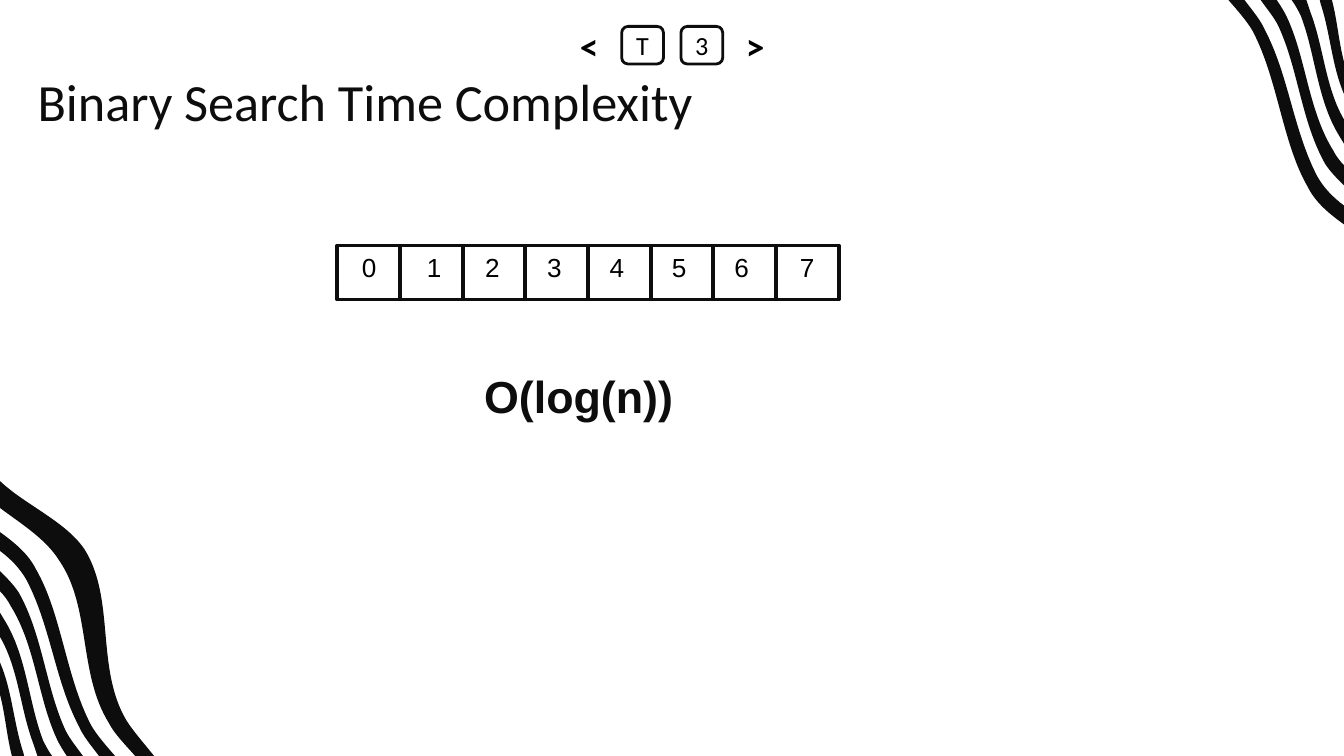
"""Build the slide on the time complexity of binary search."""
from lxml.etree import SubElement
from pptx import Presentation
from pptx.dml.color import RGBColor
from pptx.enum.shapes import MSO_SHAPE
from pptx.enum.text import MSO_ANCHOR, MSO_AUTO_SIZE, PP_ALIGN
from pptx.oxml.ns import qn
from pptx.util import Cm, Pt

INK, BLACK, WHITE = "0D0D0D", "000000", "FFFFFF"
TITLE = "Binary Search Time Complexity"
FORMULA = "O(log(n))"
BUTTONS = [("<", 10.74, 20, False), ("T", 11.75, 14, True),
           ("3", 12.87, 14, True), (">", 13.88, 20, False)]

CELL_LEFT, CELL_TOP, CELL_WIDTH, CELL_HEIGHT = 6.37, 4.64, 1.19, 1.02
CELL_PITCH = (14.66 - CELL_LEFT) / 7
LABELS = [("0", 6.59, 0.79), ("1", 7.82, 0.84), ("2", 8.92, 0.84), ("3", 10.09, 0.84),
          ("4", 11.27, 0.84), ("5", 12.45, 0.84), ("6", 13.63, 0.84), ("7", 14.87, 0.79)]

PAGE_WIDTH, PAGE_HEIGHT = 1000, 563
UNIT = Cm(2.54) / 100
STRIPES = [
    ([(0, 378), (16, 390), (34, 401), (44, 417), (68, 452), (58, 501), (81, 538),
      (85, 546), (93, 554), (101, 563)],
     [(115, 563), (107, 553), (99, 544), (94, 536), (71, 497), (86, 446), (63, 409),
      (49, 388), (19, 376), (0, 358)]),
    ([(0, 410), (8, 416), (15, 423), (20, 432), (38, 467), (41, 507), (59, 541),
      (62, 548), (68, 555), (74, 563)],
     [(86, 563), (79, 555), (72, 547), (68, 540), (49, 504), (46, 457), (27, 424),
      (21, 412), (11, 404), (0, 396)]),
    ([(0, 440), (3, 443), (6, 447), (8, 451), (26, 480), (28, 517), (41, 547),
      (43, 552), (46, 557), (50, 563)],
     [(62, 563), (57, 556), (52, 550), (49, 544), (34, 512), (32, 473), (14, 441),
      (10, 435), (5, 430), (0, 425)]),
    ([(0, 474), (14, 498), (15, 528), (25, 554), (26, 557), (27, 560), (28, 563)],
     [(39, 563), (36, 559), (34, 555), (32, 551), (21, 522), (20, 488), (3, 461),
      (2, 459), (1, 458), (0, 456)]),
    ([(0, 517), (4, 532), (5, 548), (9, 563)],
     [(18, 563), (18, 561), (17, 560), (17, 559), (10, 537), (9, 514), (0, 493)]),
]


def colour(code):
    return RGBColor.from_string(code)


def bend(lines):
    """Turn each three straight segments into one cubic curve."""
    for start in range(0, len(lines), 3):
        curve = SubElement(lines[start].getparent(), qn("a:cubicBezTo"))
        lines[start].addprevious(curve)
        for line in lines[start:start + 3]:
            curve.append(line[0])
            line.getparent().remove(line)


def add_stripe(page, edges, turned=False):
    """Draw one wavy stripe, at bottom left or turned to the top right."""
    outline = edges[0] + edges[1]
    if turned:
        outline = [(PAGE_WIDTH - x, PAGE_HEIGHT - y) for x, y in outline]
    builder = page.shapes.build_freeform(*outline[0], scale=UNIT)
    builder.add_line_segments(outline[1:], close=True)
    stripe = builder.convert_to_shape()
    lines = list(stripe.element.iter(qn("a:lnTo")))
    joint = len(edges[0]) - 1
    bend(lines[:joint])
    bend(lines[joint + 1:len(outline) - 1])
    stripe.shadow.inherit = False
    stripe.fill.solid()
    stripe.fill.fore_color.rgb = colour(INK)
    stripe.line.fill.background()


def add_box(page, kind, left, top, width, height, fill=None, line_width=None):
    """Draw a preset shape."""
    box = page.shapes.add_shape(kind, Cm(left), Cm(top), Cm(width), Cm(height))
    box.shadow.inherit = False
    if fill:
        box.fill.solid()
        box.fill.fore_color.rgb = colour(fill)
    else:
        box.fill.background()
    if line_width:
        box.line.color.rgb = colour(INK)
        box.line.width = Pt(line_width)
    else:
        box.line.fill.background()
    return box


def write(box, text, size, font, code, bold=False, inset=None, wrap=True):
    """Set the text of a box and format it."""
    frame = box.text_frame
    frame.text = text
    frame.word_wrap = wrap
    if inset is not None:
        frame.margin_left = frame.margin_right = Cm(inset)
        frame.margin_top = frame.margin_bottom = Cm(inset)
    para = frame.paragraphs[0]
    span = para.runs[0]
    span.font.size, span.font.name, span.font.bold = Pt(size), font, bold
    span.font.color.rgb = colour(code)
    return para


def add_label(page, left, top, width, height):
    return page.shapes.add_textbox(Cm(left), Cm(top), Cm(width), Cm(height))


def main():
    deck = Presentation()
    deck.slide_width, deck.slide_height = Cm(25.4), Cm(14.29)
    page = deck.slides.add_slide(deck.slide_layouts[5])

    for edges in STRIPES:
        add_stripe(page, edges)
    for edges in STRIPES[1:]:
        add_stripe(page, edges, turned=True)

    for text, left, size, framed in BUTTONS:
        button = add_box(page, MSO_SHAPE.ROUNDED_RECTANGLE, left, 0.5, 0.79, 0.71,
                         WHITE, 1.5 if framed else None)
        button.text_frame.vertical_anchor = MSO_ANCHOR.MIDDLE
        para = write(button, text, size, "Calibri", BLACK, bold=not framed, inset=0)
        para.alignment = PP_ALIGN.CENTER

    title = page.shapes.title
    title.left, title.top, title.width, title.height = Cm(0.46), Cm(1.22), Cm(20.55), Cm(1.6)
    para = write(title, TITLE, 28, "Calibri", INK, inset=0.25)
    para.alignment, para.line_spacing = PP_ALIGN.LEFT, 0.8
    title.text_frame.vertical_anchor = MSO_ANCHOR.MIDDLE
    title.text_frame.auto_size = MSO_AUTO_SIZE.NONE

    for index, (text, left, width) in enumerate(LABELS):
        cell = add_box(page, MSO_SHAPE.RECTANGLE, CELL_LEFT + index * CELL_PITCH, CELL_TOP,
                       CELL_WIDTH, CELL_HEIGHT, line_width=2)
        cell.rotation = 180
        label = add_label(page, left, 4.63, width, 0.86)
        write(label, text, 14, "Arial", BLACK, wrap=False)
        label.text_frame.auto_size = MSO_AUTO_SIZE.SHAPE_TO_FIT_TEXT

    formula = add_label(page, 8.9, 6.72, 4.98, 2.41)
    write(formula, FORMULA, 24, "Arial", INK, bold=True, inset=0.25)

    deck.save("out.pptx")


if __name__ == "__main__":
    main()
